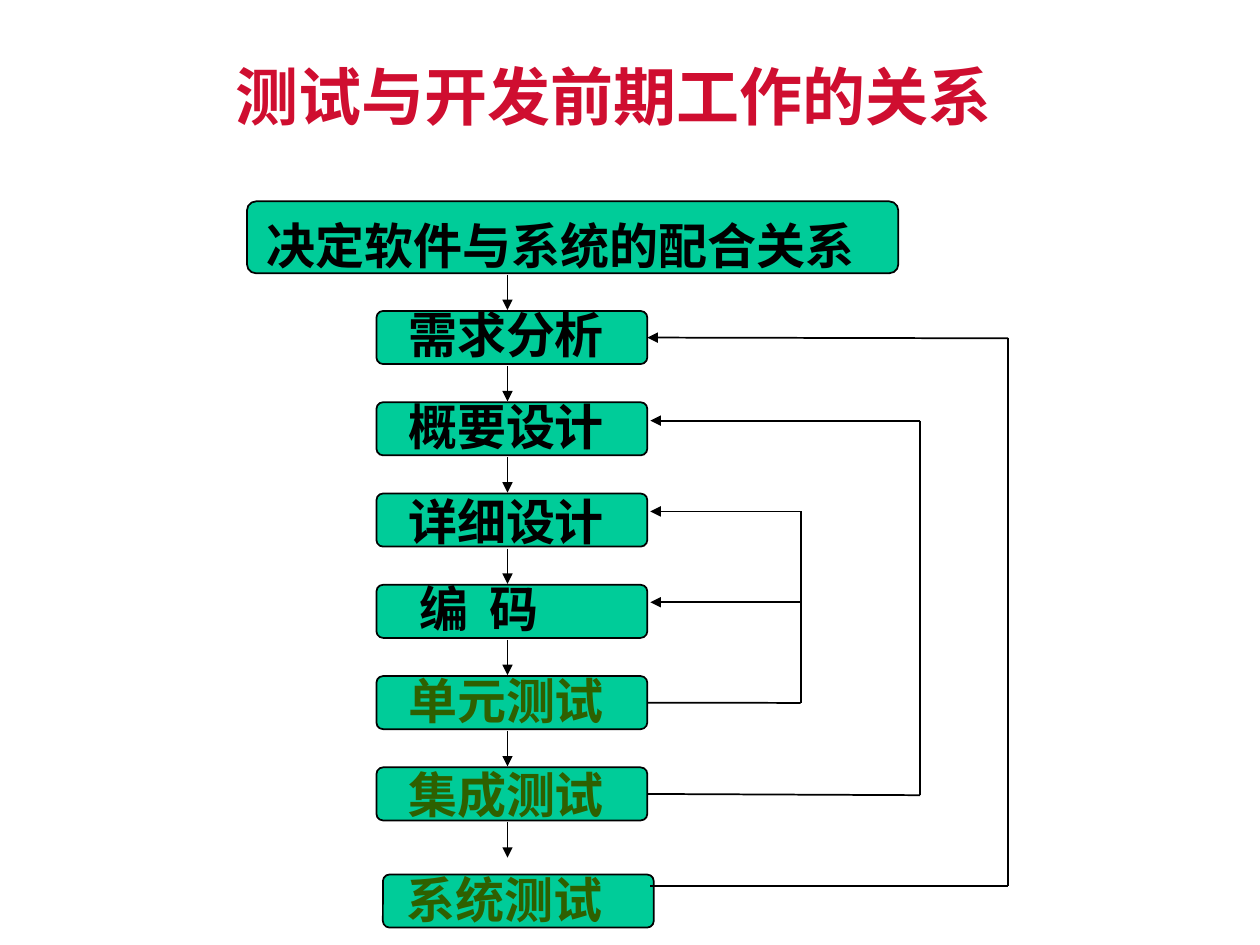
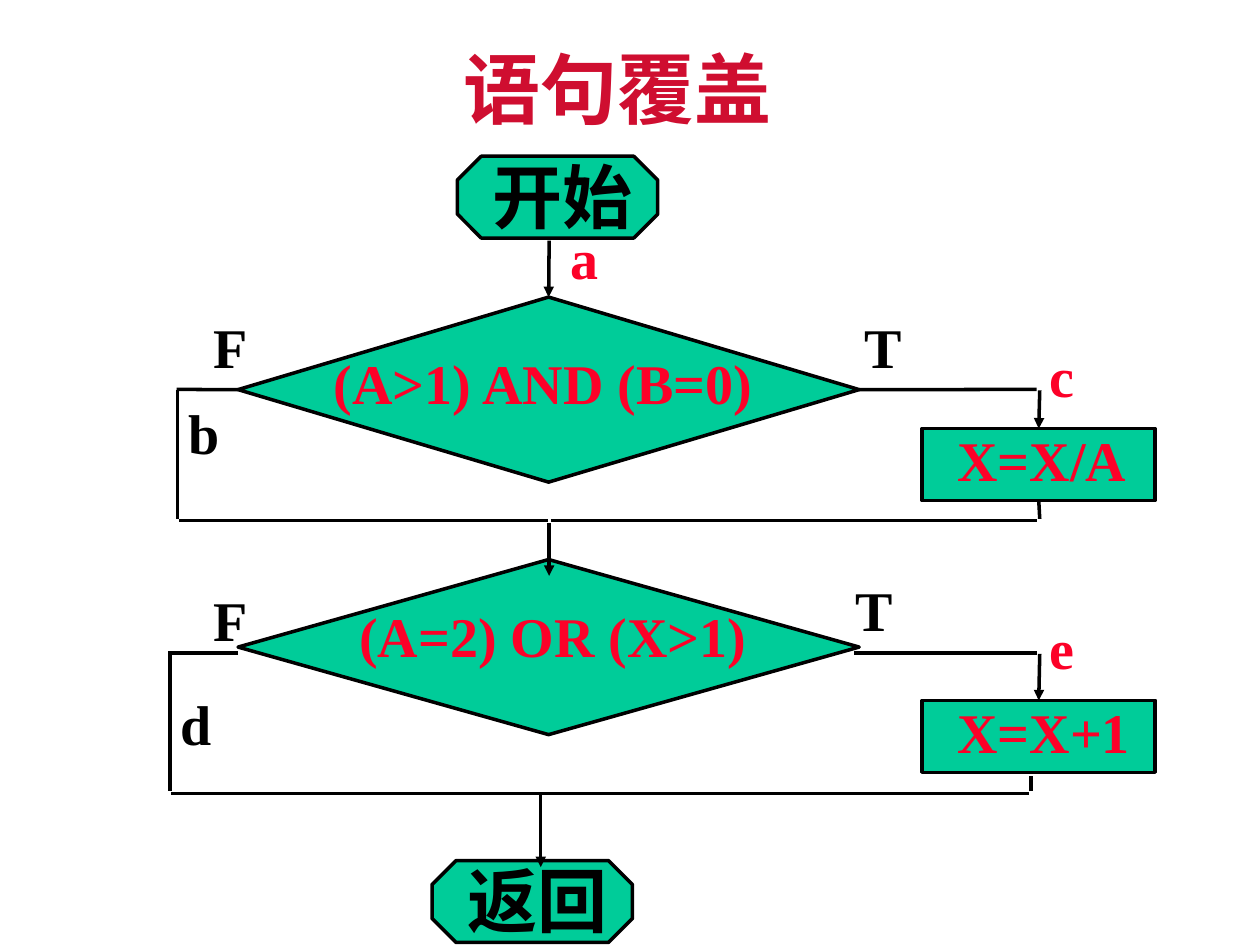
from dataclasses import dataclass

from lxml import etree
from pptx import Presentation
from pptx.dml.color import RGBColor
from pptx.enum.shapes import MSO_CONNECTOR as LINE, MSO_SHAPE as SHAPE
from pptx.enum.text import MSO_ANCHOR as ANCHOR, MSO_AUTO_SIZE as FIT, PP_ALIGN as ALIGN
from pptx.oxml.ns import qn
from pptx.util import Cm, Pt

COLOURS = {"title": "CF0E30", "box": "00CC99", "ink": "000000",
           "test": "2E6000", "code": "FC0128"}
TITLE_FONT, CJK_FONT, LATIN_FONT = "Noto Sans CJK JP", "Noto Sans CJK SC", "Times New Roman"
JOIN = 0.08  # cm between a line end and the side it belongs to
TITLE_ONLY = 5


@dataclass
class Area:
    x: float
    y: float
    w: float
    h: float

    def lengths(self) -> tuple:
        return Cm(self.x), Cm(self.y), Cm(self.w), Cm(self.h)

    def side_middles(self) -> list:
        """Top, left, bottom, right, in the order of the connection sites."""
        mx, my = self.x + self.w / 2, self.y + self.h / 2
        return [(mx, self.y), (self.x, my), (mx, self.y + self.h), (self.x + self.w, my)]


@dataclass
class Style:
    font: str
    size: float
    colour: str = "ink"


@dataclass
class Step:
    text: str
    text_y: float
    colour: str = "ink"
    x: float = 7.59
    text_x: float = 7.98
    spacing: int = 0


@dataclass
class Loop:
    """Feedback from a test (source) back to the phases it checks (targets)."""
    x: float
    targets: tuple
    source: float


@dataclass
class Node:
    kind: SHAPE
    area: Area
    text: str
    text_area: Area
    style: Style


@dataclass
class Label:
    text: str
    x: float
    y: float
    colour: str = "ink"


@dataclass
class Link:
    x1: float
    y1: float
    x2: float
    y2: float
    arrow: str = ""  # "headEnd" points at the start, "tailEnd" at the end


def rgb(name: str) -> RGBColor:
    return RGBColor.from_string(COLOURS[name])


def add_run(p, text: str, style: Style, spacing: int = 0) -> None:
    r = p.add_run()
    r.text = text
    r.font.name, r.font.size, r.font.bold = style.font, Pt(style.size), True
    r.font.color.rgb = rgb(style.colour)
    rpr = r.font._element
    etree.SubElement(rpr, qn("a:ea")).set("typeface", style.font)
    if spacing:
        rpr.set("spc", str(spacing))


def add_title(s, text: str, area: Area, size: float, align: ALIGN, anchor: ANCHOR,
              line_spacing: float = 1.0) -> None:
    sp = s.shapes.title
    sp.left, sp.top, sp.width, sp.height = area.lengths()
    tf = sp.text_frame
    tf.word_wrap, tf.auto_size, tf.vertical_anchor = True, FIT.NONE, anchor
    p = tf.paragraphs[0]
    p.alignment, p.line_spacing = align, line_spacing
    add_run(p, text, Style(TITLE_FONT, size, "title"))


def add_text(s, text: str, area: Area, style: Style, wrap: bool = True,
             spacing: int = 0) -> None:
    tf = s.shapes.add_textbox(*area.lengths()).text_frame
    tf.word_wrap, tf.auto_size = wrap, FIT.SHAPE_TO_FIT_TEXT
    add_run(tf.paragraphs[0], text, style, spacing)


def add_box(s, kind: SHAPE, area: Area, width: float):
    sp = s.shapes.add_shape(kind, *area.lengths())
    sp.shadow.inherit = False
    sp.fill.solid()
    sp.fill.fore_color.rgb = rgb("box")
    sp.line.color.rgb = rgb("ink")
    sp.line.width = Pt(width)
    if kind == SHAPE.ROUNDED_RECTANGLE:
        sp.adjustments[0] = 0.125
    return sp


def add_link(s, link: Link, width: float, boxes: list) -> None:
    """Draw a line and join each end that meets the middle of a box side."""
    cx = s.shapes.add_connector(LINE.STRAIGHT, Cm(link.x1), Cm(link.y1),
                                Cm(link.x2), Cm(link.y2))
    cx.line.color.rgb = rgb("ink")
    cx.line.width = Pt(width)
    if link.arrow:
        etree.SubElement(cx.line._get_or_add_ln(), qn(f"a:{link.arrow}")).set("type", "triangle")
    etree.SubElement(cx._element.spPr, qn("a:effectLst"))
    for x, y, connect in ((link.x1, link.y1, cx.begin_connect),
                          (link.x2, link.y2, cx.end_connect)):
        for sp, area in boxes:
            for site, (mx, my) in enumerate(area.side_middles()):
                if max(abs(x - mx), abs(y - my)) < JOIN:
                    connect(sp, site)


STEPS = [
    Step("需求分析", 6.02), Step("概要设计", 7.87), Step("详细设计", 9.78),
    Step("编 码", 11.53, text_x=8.2, spacing=300),
    Step("单元测试", 13.39, "test"), Step("集成测试", 15.29, "test"),
    Step("系统测试", 17.4, "test", x=7.72, text_x=7.95),
]
STEP_TOP, STEP_PITCH, LAST_TOP = 6.27, 1.84, 17.63
LOOPS = [Loop(20.32, (6.82,), 17.86), Loop(18.55, (8.48,), 16.03),
         Loop(16.14, (10.31, 12.14), 14.17)]


def build_process(s) -> None:
    add_title(s, "测试与开发前期工作的关系", Area(2.74, 1.07, 19.25, 1.7), 36,
              ALIGN.CENTER, ANCHOR.MIDDLE)
    add_box(s, SHAPE.ROUNDED_RECTANGLE, Area(4.98, 4.06, 13.13, 1.45), 1)
    add_text(s, "决定软件与系统的配合关系", Area(5.13, 4.22, 13.21, 1.42), Style(CJK_FONT, 28))

    boxes, links = [], []
    for i, step in enumerate(STEPS):
        top = LAST_TOP if step is STEPS[-1] else STEP_TOP + i * STEP_PITCH
        area = Area(step.x, top, 5.46, 1.07)
        boxes.append((add_box(s, SHAPE.ROUNDED_RECTANGLE, area, 1), area))
        add_text(s, step.text, Area(step.text_x, step.text_y, 5.11, 1.42),
                 Style(CJK_FONT, 28, step.colour), spacing=step.spacing)
        arrow_y = 5.54 + i * STEP_PITCH
        links.append(Link(10.23, arrow_y, 10.23, arrow_y + 0.71, "tailEnd"))

    edge = 13.11
    for loop in LOOPS:
        links += [Link(edge, y, loop.x, y, "headEnd") for y in loop.targets]
        links += [Link(edge, loop.source, loop.x, loop.source),
                  Link(loop.x, loop.targets[0], loop.x, loop.source)]
    for link in links:
        add_link(s, link, 1, boxes)


TERMINAL, CODE = Style(CJK_FONT, 40), Style(LATIN_FONT, 32, "code")
NODES = [
    Node(SHAPE.OCTAGON, Area(9.22, 3.15, 4.04, 1.65), "开始",
         Area(9.68, 2.97, 3.33, 1.93), TERMINAL),
    Node(SHAPE.DIAMOND, Area(4.8, 5.99, 12.52, 3.73), "(A>1) AND (B=0)",
         Area(6.48, 6.91, 10.08, 1.6), CODE),
    Node(SHAPE.DIAMOND, Area(4.8, 11.28, 12.52, 3.53), "(A=2) OR (X>1)",
         Area(6.99, 12.01, 10.36, 1.6), CODE),
    Node(SHAPE.OCTAGON, Area(8.71, 17.35, 4.04, 1.65), "返回",
         Area(9.17, 17.17, 3.33, 1.93), TERMINAL),
    Node(SHAPE.RECTANGLE, Area(18.59, 8.64, 4.7, 1.45), "X=X/A",
         Area(19.05, 8.46, 4.29, 1.6), CODE),
    Node(SHAPE.RECTANGLE, Area(18.59, 14.12, 4.7, 1.45), "X=X+1",
         Area(19.05, 13.94, 4.29, 1.6), CODE),
]
FLOW = [
    Link(11.07, 4.85, 11.07, 5.92, "tailEnd"),
    # first decision
    Link(4.8, 7.85, 3.56, 7.85), Link(3.58, 7.87, 3.58, 10.46),
    Link(3.61, 10.49, 11.05, 10.49), Link(11.1, 10.49, 20.9, 10.49),
    Link(17.38, 7.85, 20.9, 7.85), Link(20.96, 7.87, 20.96, 8.59, "tailEnd"),
    Link(20.96, 10.16, 20.96, 10.46), Link(11.07, 10.54, 11.07, 11.61, "tailEnd"),
    # second decision
    Link(4.8, 13.16, 3.38, 13.16), Link(3.43, 13.18, 3.43, 15.95),
    Link(3.45, 16, 20.75, 16),
    Link(17.22, 13.16, 20.9, 13.16), Link(20.96, 13.18, 20.96, 14.07, "tailEnd"),
    Link(20.78, 15.65, 20.78, 15.95), Link(10.9, 16.03, 10.9, 17.48, "tailEnd"),
]
LABELS = [
    Label("F", 4.06, 6.17), Label("F", 4.06, 11.68),
    Label("T", 17.17, 6.17), Label("T", 16.99, 11.48),
    Label("a", 11.25, 4.39, "code"), Label("b", 3.56, 7.9), Label("d", 3.38, 13.77),
    Label("c", 20.9, 6.76, "code"), Label("e", 20.9, 12.24, "code"),
]


def build_coverage(s) -> None:
    add_title(s, "语句覆盖", Area(9.09, 1.07, 7.19, 1.9), 44, ALIGN.LEFT, ANCHOR.TOP, 0.8)
    boxes = []
    for node in NODES:
        sp = add_box(s, node.kind, node.area, 2)
        if node.kind != SHAPE.OCTAGON:
            boxes.append((sp, node.area))
        add_text(s, node.text, node.text_area, node.style, wrap=node.style is CODE)
    for link in FLOW:
        add_link(s, link, 2, boxes)
    for label in LABELS:
        add_text(s, label.text, Area(label.x, label.y, 1.04, 1.6),
                 Style(LATIN_FONT, 32, label.colour))


def main() -> None:
    prs = Presentation()
    prs.slide_width, prs.slide_height = Cm(25.4), Cm(19.05)
    for build in (build_process, build_coverage):
        build(prs.slides.add_slide(prs.slide_layouts[TITLE_ONLY]))
    prs.save("out.pptx")


if __name__ == "__main__":
    main()
